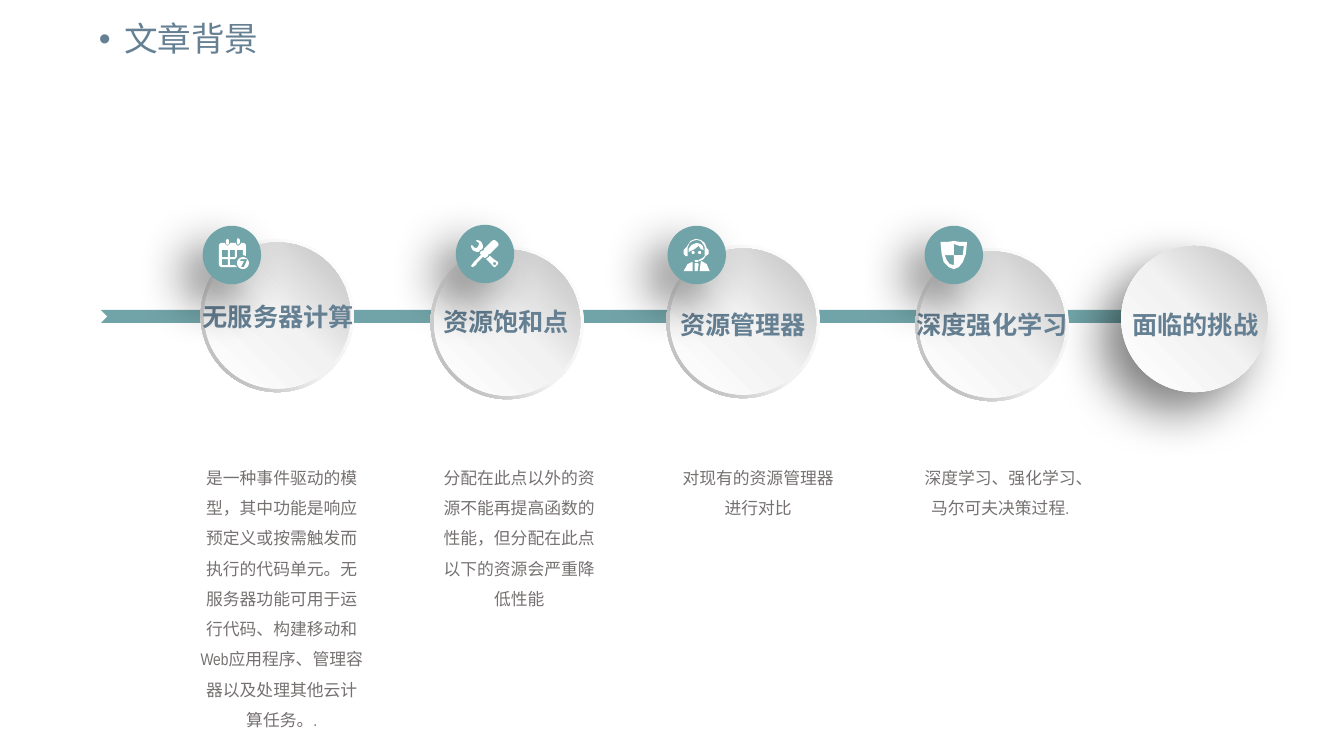
import copy
import math
import pptx
import pptx.dml.color
import pptx.enum.shapes
import pptx.enum.text
import pptx.oxml
import pptx.oxml.ns
import pptx.util

COLS, ROWS = 1333, 750
UNIT = 9144
TEAL, SLATE, GREY, WHITE = "71A4A8", "658093", "767171", "FFFFFF"
SANS, HAN, NARROW = "Noto Sans CJK SC", "Noto Sans CJK JP", "Arial Narrow"
RING, DISC, BADGE = 152, 145, 58
TITLE = "文章背景"


def dot(x, y, r):
    turns = [math.pi * i / 8 for i in range(16)]
    return [(x + r * math.cos(t), y + r * math.sin(t)) for t in turns]


def box(x, y, w, h):
    return [(x, y), (x + w, y), (x + w, y + h), (x, y + h)]


DATES = [
    [(19, 0), (21, 2), (21, 5), (19, 7), (18, 5), (18, 2)],
    [(9, 1), (10, 2), (10, 6), (9, 7), (7, 6), (7, 2)],
    [(2, 5), (0, 7), (0, 27), (2, 29), (18, 29), (16, 27), (11, 27),
     (11, 21), (16, 21), (18, 19), (18, 12), (24, 12), (24, 17), (27, 18),
     (27, 7), (25, 5), (22, 5), (22, 6), (19, 8), (17, 6), (17, 5),
     (11, 5), (11, 6), (9, 8), (6, 6), (6, 5)],
    box(3, 12, 6, 7), box(11, 12, 5, 7), box(3, 21, 6, 6),
    dot(24, 25, 6),
    [(22, 21), (28, 21), (28, 22), (25, 29), (22, 29), (25, 23), (21, 23)],
]
TOOLS = [
    [(18, 16), (18, 17), (15, 19), (20, 24), (23, 27), (24, 27), (27, 24),
     (27, 22), (24, 20), (19, 16)],
    dot(23.5, 23.5, 1.5),
    [(10, 10), (11, 9), (12, 8), (12, 6), (11, 3), (9, 1), (6, 0), (5, 1),
     (8, 3), (8, 5), (6, 8), (4, 8), (1, 5), (0, 6), (1, 9), (3, 11),
     (6, 12), (8, 12), (9, 10)],
    [(27, 3), (25, 1), (23, 0), (21, 1), (13, 9), (13, 10), (11, 11),
     (10, 11), (9, 13), (10, 15), (4, 21), (3, 22), (0, 26), (2, 27),
     (5, 25), (6, 23), (12, 17), (14, 18), (16, 17), (17, 16), (17, 15),
     (18, 14), (19, 14), (27, 6), (27.5, 4.5)],
]
AGENT = [
    [(12, 0), (7, 2), (3, 8), (0, 11), (0, 15), (2, 17), (4, 17), (4, 9),
     (6, 4), (9, 2), (13, 1), (17, 2), (20, 6), (21, 8), (21, 17), (19, 19),
     (15, 21), (15, 22), (16, 22), (20, 20), (22, 17), (25, 15), (25, 11),
     (23, 9), (21, 4), (17, 1)],
    [(13, 4), (8, 6), (5, 10), (5, 13), (11, 10), (15, 7), (17, 10),
     (20, 11), (19, 7), (17, 5)],
    dot(9.5, 13.5, 1.5), dot(16, 13.5, 1.5),
    [(11, 21), (14, 21), (15, 22), (14, 23), (12, 23), (11, 22)],
    [(18, 22), (17, 23), (16, 32), (26, 32), (23, 25)],
    [(8, 23), (4, 25), (0, 32), (9, 32), (9, 23)],
    [(11, 24), (14, 24), (15, 25), (14, 32), (11, 32)],
]
SHIELD = [
    [(0, 1), (7, 1), (13, 0), (19, 1), (26, 1), (26, 3), (25, 13), (22, 21),
     (18, 26), (13, 28), (8, 26), (3, 21), (1, 13), (0, 3)],
    [(13, 14), (22, 14), (23, 5), (19, 5), (13, 3)],
    [(13, 24), (13, 14), (4, 14), (6, 19), (9, 23)],
]

STEPS = [
    dict(label="无服务器计算", ring=(199, 237), name=(276, 294),
         note=(198, 163), badge=(201, 224), icon=(217, 236), art=DATES,
         text="是一种事件驱动的模型，其中功能是响应预定义或按需触发而执行的代码单元。"
              "无服务器功能可用于运行代码、构建移动和Web应用程序、管理容器以及处理其他云计算任务。."),
    dict(label="资源饱和点", ring=(427, 244), name=(502, 299),
         note=(432, 166), badge=(452, 223), icon=(467, 238), art=TOOLS,
         text="分配在此点以外的资源不能再提高函数的性能，但分配在此点以下的资源会严重降低性能"),
    dict(label="资源管理器", ring=(661, 243), name=(737, 302),
         note=(669, 166), badge=(662, 224), icon=(678, 237), art=AGENT,
         text="对现有的资源管理器进行对比"),
    dict(label="深度强化学习", ring=(908, 246), name=(984, 302),
         note=(909, 166), badge=(917, 224), icon=(933, 239), art=SHIELD,
         text="深度学习、强化学习、马尔可夫决策过程."),
]
LAST = dict(label="面临的挑战", disc=(1112, 244), name=(1185.5, 302))

KIND = pptx.enum.shapes.MSO_SHAPE
ALIGN = pptx.enum.text.PP_ALIGN
NS = pptx.oxml.ns.nsdecls("a")


def span(*cells):
    return [pptx.util.Emu(round(c * UNIT)) for c in cells]


def tint(code):
    return pptx.dml.color.RGBColor.from_string(code)


def write(par, text, size, face, code, bold=False, han=SANS):
    run = par.add_run()
    run.text = text
    font = run.font
    font.size, font.name, font.bold = pptx.util.Pt(size), face, bold
    font.color.rgb = tint(code)
    font._element.find(pptx.oxml.ns.qn("a:latin")).addnext(
        pptx.oxml.parse_xml(f'<a:ea {NS} typeface="{han}"/>'))


def draw(shapes, kind, *cells, code=None):
    shape = shapes.add_shape(kind, *span(*cells))
    paint(shape, code)
    return shape


def paint(shape, code):
    shape.shadow.inherit = False
    shape.line.fill.background()
    if code:
        shape.fill.solid()
        shape.fill.fore_color.rgb = tint(code)


def blend(shape, stops, angle):
    shape.fill.gradient()
    shape.fill.gradient_angle = angle
    first = shape._element.xpath(".//a:gs")[0]
    first.addnext(copy.deepcopy(first))
    for stop, (place, code) in zip(shape.fill.gradient_stops, stops):
        stop.position = place
        stop.color.rgb = tint(code)


def shade(shape):
    blur, dist = pptx.util.Pt(35), pptx.util.Pt(20)
    shape._element.xpath(".//a:effectLst")[0].append(pptx.oxml.parse_xml(
        f'<a:outerShdw {NS} blurRad="{blur}" dist="{dist}" dir="8100000" '
        'algn="tr" rotWithShape="0"><a:srgbClr val="000000">'
        '<a:alpha val="50000"/></a:srgbClr></a:outerShdw>'))


def add_disc(shapes, x, y):
    disc = draw(shapes, KIND.OVAL, x, y, DISC, DISC)
    blend(disc, [(0, WHITE), (0.51, "F2F2F2"), (1, "BFBFBF")], 45)
    return disc


def add_name(shapes, label, mid, top):
    frame = shapes.add_textbox(*span(mid - 85, top, 170, 40)).text_frame
    frame.word_wrap = False
    par = frame.paragraphs[0]
    par.alignment = ALIGN.CENTER
    write(par, label, 18, SANS, SLATE, True)


def add_note(shapes, text, left, width):
    frame = shapes.add_textbox(*span(left, 454, width, 273)).text_frame
    frame.word_wrap = True
    frame.margin_left = frame.margin_right = 0
    frame.margin_top = frame.margin_bottom = 0
    par = frame.paragraphs[0]
    par.alignment, par.line_spacing = ALIGN.CENTER, 1.5
    write(par, text, 12, NARROW, GREY)


def add_ring(shapes, step):
    x, y = step["ring"]
    group = shapes.add_group_shape().shapes
    ring = draw(group, KIND.DONUT, x, y, RING, RING)
    ring.adjustments[0] = 0.05
    blend(ring, [(0, WHITE), (0.55, "F2F2F2"), (1, "A6A6A6")], 225)
    add_disc(group, x + 3.5, y + 3.5)
    add_name(group, step["label"], *step["name"])


def add_icon(shapes, step):
    loops = [[(x * 10, y * 10) for x, y in loop] for loop in step["art"]]
    pen = shapes.build_freeform(*loops[0][0], scale=UNIT / 10)
    for loop in loops:
        if loop is not loops[0]:
            pen.move_to(*loop[0])
        pen.add_line_segments(loop[1:], close=True)
    paint(pen.convert_to_shape(*span(*step["icon"])), WHITE)


def add_title(title):
    title.left, title.top, title.width, title.height = span(88, 17, 862, 47)
    frame = title.text_frame
    frame.vertical_anchor = pptx.enum.text.MSO_ANCHOR.MIDDLE
    par = frame.paragraphs[0]
    props = par._p.get_or_add_pPr()
    props.set("marL", "228600")
    props.set("indent", "-228600")
    props.append(pptx.oxml.parse_xml(f'<a:buFont {NS} typeface="Arial"/>'))
    props.append(pptx.oxml.parse_xml(f'<a:buChar {NS} char="•"/>'))
    par.alignment, par.line_spacing = ALIGN.LEFT, 0.9
    write(par, TITLE, 24, HAN, SLATE, han=HAN)


def main():
    deck = pptx.Presentation()
    deck.slide_width, deck.slide_height = span(COLS, ROWS)
    slide = deck.slides.add_slide(deck.slide_layouts[5])
    shapes = slide.shapes
    add_title(shapes.title)
    for step in STEPS:
        add_note(shapes, step["text"], *step["note"])
    draw(shapes, KIND.NOTCHED_RIGHT_ARROW, 100, 301, 1096, 26, code=TEAL)
    for step in STEPS:
        add_ring(shapes, step)
    shade(add_disc(shapes, *LAST["disc"]))
    add_name(shapes, LAST["label"], *LAST["name"])
    for step in STEPS:
        shade(draw(shapes, KIND.OVAL, *step["badge"], BADGE, BADGE, code=TEAL))
        add_icon(shapes, step)
    deck.save("out.pptx")


if __name__ == "__main__":
    main()
